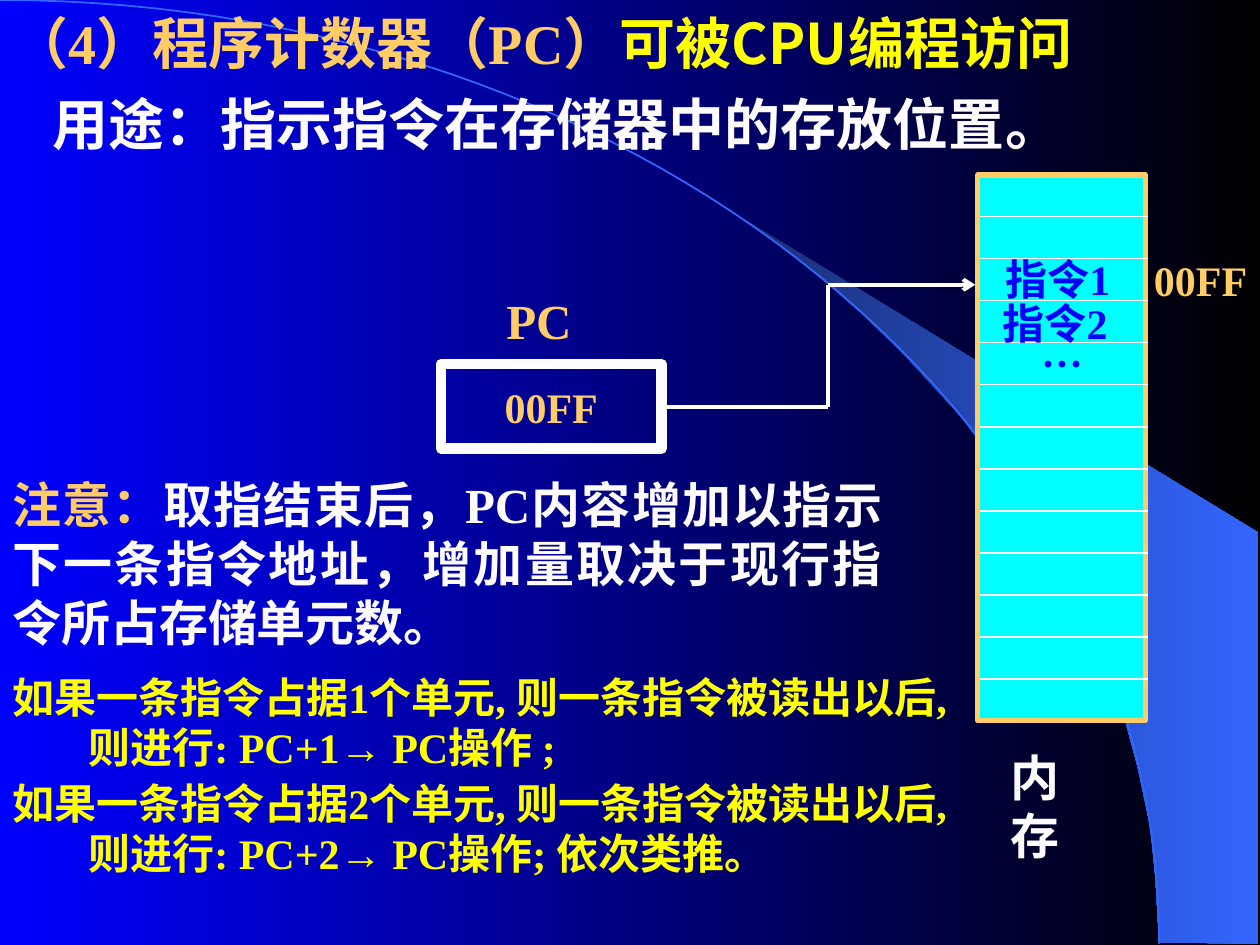
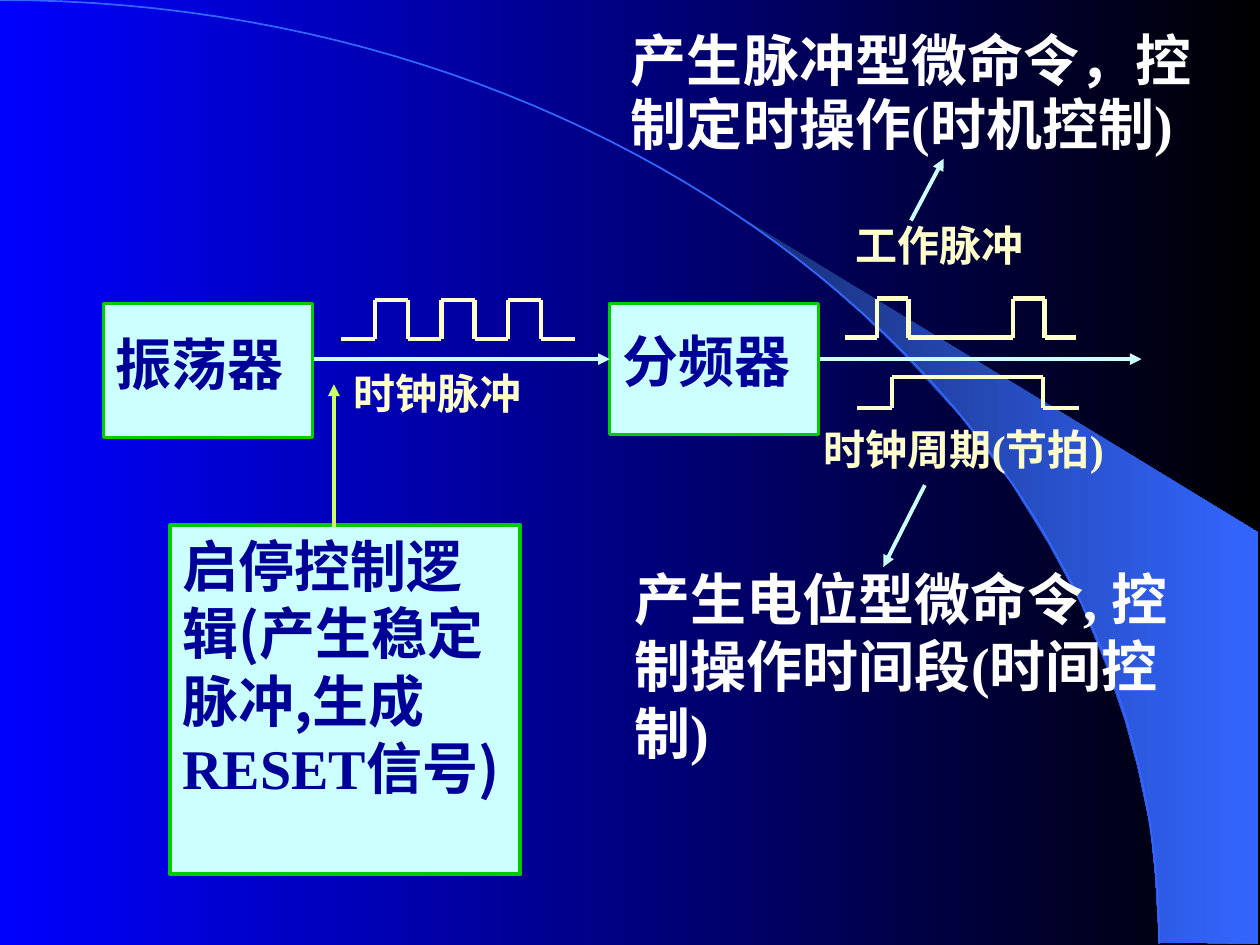
import dataclasses
import itertools

import lxml.etree
import pptx
import pptx.dml.color
import pptx.enum.shapes
import pptx.enum.text
import pptx.oxml.ns
import pptx.util

Inches = pptx.util.Inches
Pt = pptx.util.Pt
qn = pptx.oxml.ns.qn
ALIGN = pptx.enum.text.PP_ALIGN
ANCHOR = pptx.enum.text.MSO_ANCHOR
FIT = pptx.enum.text.MSO_AUTO_SIZE


@dataclasses.dataclass(frozen=True)
class Theme:
    # colours
    blue: str = "0000FF"
    black: str = "000000"
    arc: str = "3366FF"
    dusk: str = "182F76"
    gold: str = "FFCC66"
    yellow: str = "FFFF00"
    white: str = "FFFFFF"
    pale: str = "FDFBFB"
    cyan: str = "00FFFF"
    ice: str = "CCFFFF"
    green: str = "00CC00"
    navy: str = "000099"
    cream: str = "FFFFCC"
    lime: str = "CCFF66"
    # type
    big: int = 32
    mid: int = 28
    small: int = 24
    serif: str = "Times New Roman"
    sans: str = "Noto Sans CJK SC"
    arial: str = "Arial"
    # line widths
    wire: float = 2.25
    pulse: float = 2.5


T = Theme()


def rgb(code):
    return pptx.dml.color.RGBColor.from_string(code)


def apply(target, values):
    for name, value in values.items():
        setattr(target, name, value)


def blend(fill, first, last):
    fill.gradient()
    fill.gradient_angle = 0
    for stop, code in zip(fill.gradient_stops, (first, last)):
        stop.color.rgb = rgb(code)


def stroke(shape, color, width):
    shape.line.color.rgb = rgb(color)
    shape.line.width = Pt(width)


# Text: a paragraph is (runs, format values); a run is (text, colour[, font])
def write(shape, size, paras, wrap=True, anchor=ANCHOR.TOP, fit=FIT.SHAPE_TO_FIT_TEXT):
    frame = shape.text_frame
    apply(frame, {"word_wrap": wrap, "vertical_anchor": anchor, "auto_size": fit})
    for index, (runs, form) in enumerate(paras):
        para = frame.add_paragraph() if index else frame.paragraphs[0]
        apply(para, {"alignment": ALIGN.LEFT} | {k: v for k, v in form.items() if k != "indent"})
        left, first = form.get("indent", (0, 0))
        props = para._p.get_or_add_pPr()
        props.set("marL", str(Inches(left)))
        props.set("indent", str(Inches(first)))
        for text, color, *font in runs:
            run = para.add_run()
            run.text = text
            apply(run.font, {"size": Pt(size), "bold": True, "name": font[0] if font else T.serif})
            run.font.color.rgb = rgb(color)
            east = lxml.etree.Element(qn("a:ea"), typeface=T.sans)
            run.font._element.find(qn("a:latin")).addnext(east)


def label(slide, at, size, paras, wrap=True):
    write(slide.shapes.add_textbox(*map(Inches, at)), size, paras, wrap)


def tag(slide, at, size, text, color, font=T.serif):
    label(slide, at, size, [([(text, color, font)], {})], wrap=False)


def box(slide, at, color, width, fill=None):
    kind = pptx.enum.shapes.MSO_SHAPE.RECTANGLE
    shape = slide.shapes.add_shape(kind, *map(Inches, at))
    shape.shadow.inherit = False
    if fill:
        shape.fill.solid()
        shape.fill.fore_color.rgb = rgb(fill)
    else:
        shape.fill.background()
    stroke(shape, color, width)
    return shape


def link(slide, start, end, color, width, tip=None):
    kind = pptx.enum.shapes.MSO_CONNECTOR.STRAIGHT
    line = slide.shapes.add_connector(kind, *map(Inches, (*start, *end)))
    stroke(line, color, width)
    props = line.element.find(qn("p:spPr"))
    if tip:
        lxml.etree.SubElement(props.find(qn("a:ln")), qn("a:tailEnd"), type=tip)
    lxml.etree.SubElement(props, qn("a:effectLst"))


def chain(slide, points, color, width, tip=None):
    pairs = list(itertools.pairwise(points))
    for index, (start, end) in enumerate(pairs):
        link(slide, start, end, color, width, tip if index == len(pairs) - 1 else None)


def wave(slide, edges, low, high):
    """Square wave that starts low and flips at every inner edge."""
    points = []
    for index, (left, right) in enumerate(itertools.pairwise(edges)):
        level = high if index % 2 else low
        points += [(left, level), (right, level)]
    chain(slide, points, T.cream, T.pulse)


def curve(slide, points, close):
    spots = [(Inches(x), Inches(y)) for x, y in points]
    maker = slide.shapes.build_freeform(*spots[0], scale=1.0)
    maker.add_line_segments(spots[1:], close=close)
    shape = maker.convert_to_shape()
    shape.shadow.inherit = False
    return shape


# Shared backdrop: drawn once, then moved to the layout
def backdrop(slide, layout):
    blend(layout.background.fill, T.blue, T.black)
    beam = curve(slide, [
        (9.2, 7.48), (9.99, 7.49), (9.99, 4.23), (5.89, 1.73), (6.24, 1.99), (6.53, 2.22),
        (6.85, 2.5), (7.16, 2.8), (7.62, 3.3), (8.03, 3.84), (8.32, 4.31), (8.58, 4.79),
        (8.78, 5.28), (8.93, 5.72), (9.03, 6.09), (9.13, 6.56), (9.17, 6.96)], True)
    blend(beam.fill, T.dusk, T.arc)
    beam.line.fill.background()
    steps = [i / 60 for i in range(61)]
    bend = [(3 * t * (1 - t) ** 2 * 5.08 + 3 * t * t * (1 - t) * 9.2 + t ** 3 * 9.2,
             3 * t * t * (1 - t) * 3.35 + t ** 3 * 7.49) for t in steps]
    arc = curve(slide, bend, False)
    arc.fill.background()
    stroke(arc, T.arc, 1)
    for shape in (beam, arc):
        layout.shapes.element.append(shape.element)


def counter(slide):
    # Heading and purpose
    label(slide, (0, 0.02, 10, 1.93), T.big, [
        ([("（4）程序计数器（PC）", T.gold), ("可被CPU编程访问", T.yellow, T.sans)],
         {"space_before": Pt(20)}),
        ([("用途：指示指令在存储器中的存放位置。", T.pale, T.sans)],
         {"space_before": Pt(8), "indent": (0.32, 0)})])

    # Register and its pointer into memory
    chain(slide, [(5.25, 3.23), (6.57, 3.23), (6.57, 2.26), (7.74, 2.26)],
          T.white, T.wire, "arrow")
    cell = box(slide, (3.5, 2.89, 1.75, 0.67), T.white, 6)
    write(cell, T.small, [([("00FF", T.gold)], {"alignment": ALIGN.CENTER})],
          wrap=False, anchor=ANCHOR.MIDDLE, fit=FIT.NONE)
    tag(slide, (3.92, 2.26, 0.72, 0.57), T.mid, "PC", T.gold)
    tag(slide, (9.06, 1.97, 0.94, 0.5), T.small, "00FF", T.gold)

    # Note
    label(slide, (0, 3.72, 7.1, 1.5), T.mid, [
        ([("注意：", T.gold),
          ("取指结束后，PC内容增加以指示下一条指令地址，增加量取决于现行指令所占存储单元数。",
           T.pale)], {"alignment": ALIGN.JUSTIFY})])

    # Memory
    box(slide, (7.76, 1.39, 1.33, 4.33), T.gold, 3, T.cyan)
    for row in range(12):
        y = 1.72 + row * 3.67 / 11
        link(slide, (7.78, y), (9.11, y), T.white, 0.75)
    tag(slide, (7.88, 1.96, 1.11, 0.5), T.small, "指令1", T.blue)
    tag(slide, (7.86, 2.31, 1.11, 0.5), T.small, "指令2", T.blue)
    tag(slide, (8.17, 2.64, 0.4, 0.5), T.small, "…", T.blue, T.sans)
    tag(slide, (7.92, 5.88, 0.97, 0.57), T.mid, "内存", T.pale)

    # Step rule for one and two cells
    rules = []
    for count, tail in ((1, " PC操作 ;"), (2, " PC操作; 依次类推。")):
        lead = f"如果一条指令占据{count}个单元, 则一条指令被读出以后, 则进行: PC+{count}"
        rules.append(([(lead, T.yellow), ("→", T.yellow, T.arial), (tail, T.yellow)],
                      {"space_before": Pt(3), "indent": (0.52, -0.52)}))
    label(slide, (0, 5.28, 7.54, 1.74), T.small, rules)


def timing(slide):
    # Blocks
    blocks = [
        ((0.82, 2.41, 1.66, 1.06), 1.75, [("振荡器", T.navy)], {"line_spacing": 1.3}),
        ((4.84, 2.41, 1.66, 1.04), 1.75, [("分频器", T.navy)],
         {"line_spacing": 1.25, "space_before": Pt(20)}),
        ((1.35, 4.17, 2.78, 2.77), T.wire,
         [("启停控制逻辑", T.navy), ("(产生稳定脉冲,生成", T.navy, T.sans),
          ("RESET", T.navy), ("信号)", T.navy, T.sans)], {"space_before": Pt(20)})]
    for at, width, runs, form in blocks:
        write(box(slide, at, T.green, width, T.ice), T.big, [(runs, form)])

    # Arrows
    for start, end, color in [
            ((2.49, 2.85), (4.84, 2.85), T.ice), ((6.51, 2.85), (9.06, 2.85), T.ice),
            ((7.34, 3.85), (7.01, 4.5), T.ice), ((7.23, 1.75), (7.49, 1.26), T.ice),
            ((2.65, 4.19), (2.65, 3.05), T.lime)]:
        link(slide, start, end, color, T.wire, "triangle")

    # Waveforms: clock, work pulse, clock period
    wave(slide, [2.71 + i * 1.85 / 7 for i in range(8)], 2.69, 2.38)
    wave(slide, [6.71, 6.96, 7.21, 8.04, 8.29, 8.54], 2.68, 2.37)
    wave(slide, [6.8, 7.08, 8.28, 8.56], 3.24, 2.99)

    # Signal names
    for at, runs in [
            ((2.71, 2.87, 1.94, 0.5), [("时钟脉冲", T.cream)]),
            ((6.69, 1.69, 2.05, 0.5), [("工作脉冲", T.cream)]),
            ((6.44, 3.31, 3, 0.5), [("时钟周期", T.cream, T.sans), ("(节拍)", T.cream)])]:
        label(slide, at, T.small, [(runs, {"space_before": Pt(15)})])

    # Results
    label(slide, (4.94, 4.43, 4.85, 1.7), T.big, [
        ([("产生电位型微命令, 控制操作时间段(时间控制)", T.white)], {"space_before": Pt(20)})])
    label(slide, (4.91, 0.19, 4.76, 1.62), T.big, [
        ([("产生脉冲型微命令，控制定时操作(时机控制)", T.white)],
         {"space_before": Pt(2), "line_spacing": 0.95})])


def main():
    deck = pptx.Presentation()
    apply(deck, {"slide_width": Inches(10), "slide_height": Inches(7.5)})
    blank = deck.slide_layouts[6]
    first, second = (deck.slides.add_slide(blank) for _ in range(2))
    backdrop(first, blank)
    counter(first)
    timing(second)
    deck.save("out.pptx")


main()
